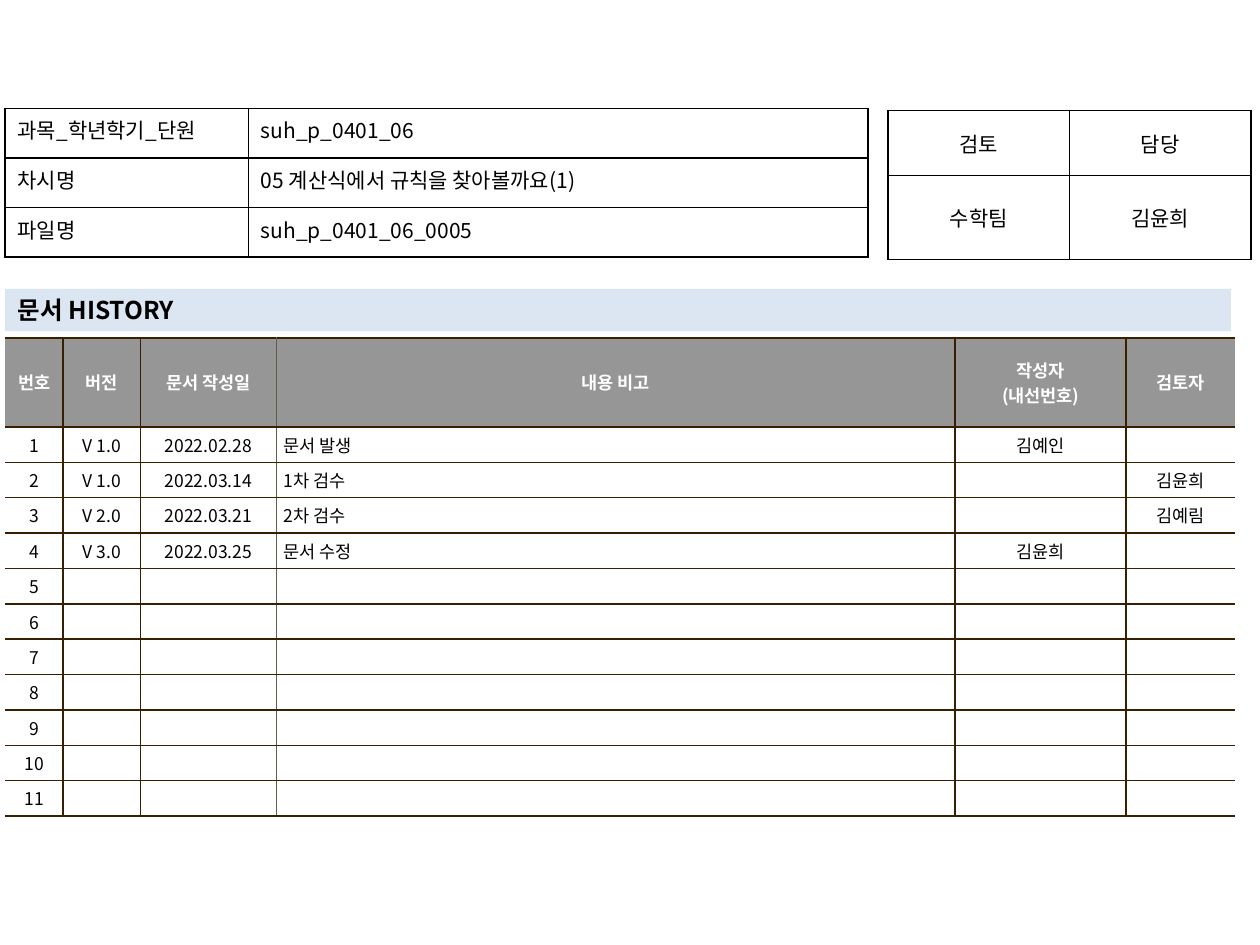
from lxml import etree
from pptx import Presentation
from pptx.dml.color import RGBColor
from pptx.enum.text import MSO_ANCHOR, MSO_AUTO_SIZE, PP_ALIGN
from pptx.oxml.ns import qn
from pptx.util import Pt

LEFT, CENTER, JUSTIFY = PP_ALIGN.LEFT, PP_ALIGN.CENTER, PP_ALIGN.JUSTIFY
TOP, MIDDLE = MSO_ANCHOR.TOP, MSO_ANCHOR.MIDDLE
NO_AUTOFIT = MSO_AUTO_SIZE.NONE
FONT = "Noto Sans CJK KR"
BLACK, WHITE, GREY, PALE_BLUE = "000000", "FFFFFF", "969696", "DCE6F2"
BROWN, TAUPE = "362000", "645B4C"


def color(value):
    return RGBColor.from_string(value)


def write(tf, text, size=12, fill=BLACK, bold=False, align=LEFT):
    tf.text = text
    for p in tf.paragraphs:
        p.alignment = align
        for r in p.runs:
            r.font.size, r.font.bold, r.font.name = Pt(size), bold, FONT
            r.font.color.rgb = color(fill)
            etree.SubElement(r.font._element, qn("a:ea"), typeface=FONT)
        if not p.runs:  # keeps an empty cell as low as a written one
            etree.SubElement(p._p, qn("a:endParaRPr"), sz=str(size * 100))


prs = Presentation()
prs.slide_width, prs.slide_height = Pt(720), Pt(540)
s = prs.slides.add_slide(prs.slide_layouts[5])

# Heading bar
title = s.shapes.title
title.left, title.top, title.width, title.height = Pt(2.9), Pt(165), Pt(700.5), Pt(24.2)
title.fill.solid()
title.fill.fore_color.rgb = color(PALE_BLUE)
title.text_frame.auto_size = NO_AUTOFIT
title.text_frame.vertical_anchor = MIDDLE
write(title.text_frame, "문서 HISTORY", size=14, bold=True)

# Contents of the three tables
history = [
    ["번호", "버전", "문서 작성일", "내용 비고", "작성자\n(내선번호)", "검토자"],
    ["1", "V 1.0", "2022.02.28", "문서 발생", "김예인", ""],
    ["2", "V 1.0", "2022.03.14", "1차 검수", "", "김윤희"],
    ["3", "V 2.0", "2022.03.21", "2차 검수", "", "김예림"],
    ["4", "V 3.0", "2022.03.25", "문서 수정", "김윤희", ""],
]
history += [[str(n), "", "", "", "", ""] for n in range(5, 12)]
approval = [["검토", "담당"], ["수학팀", "김윤희"]]
document = [
    ["과목_학년학기_단원", "suh_p_0401_06"],
    ["차시명", "05 계산식에서 규칙을 찾아볼까요(1)"],
    ["파일명", "suh_p_0401_06_0005"],
]

# Place, grid and format of each table
tables = [
    dict(rows=history, at=(2.9, 193), widths=[33.2, 44.2, 77.6, 388, 97.7, 62.5],
         heights=[51] + [18] * 11, aligns=[CENTER] * 3 + [LEFT] + [CENTER] * 2,
         size=10, anchor=MIDDLE, inset=(4.3, 2.9), line=BROWN, is_history=True),
    dict(rows=approval, at=(507.5, 63.2), widths=[103.7] * 2, heights=[37.2, 47.8],
         aligns=[CENTER] * 2, size=12, anchor=MIDDLE, inset=(7.2, 3.6),
         line=BLACK, is_history=False),
    dict(rows=document, at=(2.9, 61.9), widths=[139, 354.2], heights=[28.3] * 3,
         aligns=[JUSTIFY, LEFT], size=12, anchor=TOP, inset=(7.2, 3.6),
         line=BLACK, is_history=False),
]

for t in tables:
    rows, widths, heights = t["rows"], t["widths"], t["heights"]
    x, y = t["at"]
    tbl = s.shapes.add_table(len(rows), len(widths), Pt(x), Pt(y),
                             Pt(sum(widths)), Pt(sum(heights))).table
    tbl.first_row = tbl.horz_banding = False
    for col, width in zip(tbl.columns, widths):
        col.width = Pt(width)
    for row, height in zip(tbl.rows, heights):
        row.height = Pt(height)

    for i, texts in enumerate(rows):
        for j, text in enumerate(texts):
            cell = tbl.cell(i, j)
            header = t["is_history"] and i == 0
            write(cell.text_frame, text, size=t["size"], bold=header,
                  fill=WHITE if header else BLACK,
                  align=CENTER if header else t["aligns"][j])
            cell.vertical_anchor = t["anchor"]
            cell.margin_left = cell.margin_right = Pt(t["inset"][0])
            cell.margin_top = cell.margin_bottom = Pt(t["inset"][1])

            # Borders: the history table is open at its left and right
            sides = dict.fromkeys(["lnL", "lnR", "lnT", "lnB"], t["line"])
            if t["is_history"]:
                sides["lnL"] = {0: None, 3: TAUPE}.get(j, BROWN)
                sides["lnR"] = {2: TAUPE, 5: None}.get(j, BROWN)
            tcPr = cell._tc.get_or_add_tcPr()
            for side, line in sides.items():
                ln = etree.SubElement(tcPr, qn("a:" + side), w=str(Pt(1)))
                if line:
                    solid = etree.SubElement(ln, qn("a:solidFill"))
                    etree.SubElement(solid, qn("a:srgbClr"), val=line)
                else:
                    etree.SubElement(ln, qn("a:noFill"))

            if t["is_history"]:
                cell.fill.solid()
                cell.fill.fore_color.rgb = color(GREY if header else WHITE)
            else:
                cell.fill.background()

prs.save("out.pptx")
